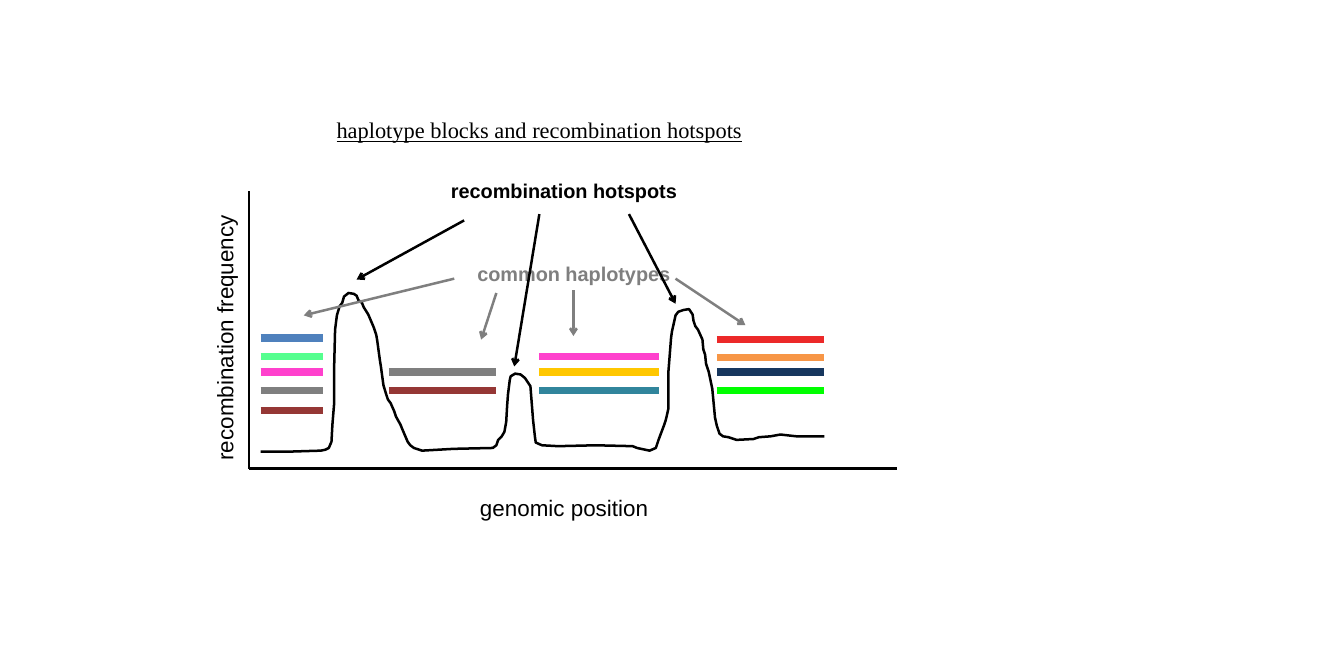
"""Build a slide showing haplotype blocks between recombination hotspots."""
from lxml import etree
from pptx import Presentation
from pptx.dml.color import RGBColor
from pptx.enum.shapes import MSO_CONNECTOR
from pptx.enum.text import MSO_ANCHOR, MSO_AUTO_SIZE, PP_ALIGN
from pptx.oxml.ns import qn
from pptx.util import Pt

PX = 9144
STRAIGHT = MSO_CONNECTOR.STRAIGHT
TOP = MSO_ANCHOR.TOP
NO_AUTOFIT = MSO_AUTO_SIZE.NONE
CENTER = PP_ALIGN.CENTER
TITLE_ONLY = 5
COLORS = {
    "black": "000000", "gray": "7F7F7F", "pink": "FF41CD", "yellow": "FFC700",
    "teal": "31859C", "orange": "F79646", "brown": "953735", "navy": "17375E",
    "red": "EC2929", "green": "00FF00", "mint": "55FF8F", "blue": "4F81BD",
}


def add_line(start, end, color, width, arrow=False):
    connector = slide.shapes.add_connector(STRAIGHT, *(value * PX for value in start + end))
    connector.line.color.rgb = RGBColor.from_string(COLORS[color])
    connector.line.width = Pt(width)
    properties = connector._element.spPr
    if arrow:
        etree.SubElement(properties.find(qn("a:ln")), qn("a:tailEnd"), type="arrow")
    etree.SubElement(properties, qn("a:effectLst"))


def write_text(shape, text, font_name, size, color):
    frame = shape.text_frame
    frame.word_wrap = True
    frame.auto_size = NO_AUTOFIT
    frame.vertical_anchor = TOP
    paragraph = frame.paragraphs[0]
    paragraph.alignment = CENTER
    run = paragraph.add_run()
    run.text = text
    run.font.name = font_name
    run.font.size = Pt(size)
    run.font.color.rgb = RGBColor.from_string(COLORS[color])
    return run


presentation = Presentation()
presentation.slide_width = 1500 * PX
presentation.slide_height = 750 * PX
slide = presentation.slides.add_slide(presentation.slide_layouts[TITLE_ONLY])

title = slide.shapes.title
title.left, title.top, title.width, title.height = (value * PX for value in (339, 125, 526, 70))
title_run = write_text(title, "haplotype blocks and recombination hotspots", "Times New Roman", 18, "black")
title_run.font.underline = True

axis_origin = (278, 523)
for axis_end in ((278, 213), (1001, 523)):
    add_line(axis_origin, axis_end, "black", 2)

frequency_points = [
    (291, 504), (325, 504), (358, 503), (363, 502), (367, 500), (370, 493), (371, 474),
    (373, 450), (373, 409), (374, 368), (376, 352), (379, 342), (382, 338), (384, 331),
    (389, 327), (395, 328), (398, 330), (400, 335), (404, 338), (406, 343), (411, 351),
    (417, 365), (420, 374), (421, 380), (424, 402), (425, 408), (428, 430), (431, 440),
    (433, 446), (436, 450), (440, 459), (442, 465), (447, 474), (449, 479), (455, 493),
    (458, 497), (462, 500), (471, 503), (506, 501), (550, 500), (554, 497), (556, 491),
    (560, 487), (563, 482), (565, 471), (566, 453), (567, 440), (569, 424), (570, 420),
    (575, 417), (581, 418), (586, 422), (592, 431), (595, 469), (597, 487), (598, 494),
    (605, 497), (623, 498), (665, 497), (706, 498), (711, 500), (725, 503), (732, 500),
    (735, 491), (741, 475), (743, 469), (744, 465), (746, 456), (746, 415), (749, 377),
    (750, 370), (754, 352), (757, 348), (763, 346), (769, 345), (773, 351), (774, 358),
    (776, 364), (779, 368), (784, 379), (785, 390), (787, 396), (788, 406), (791, 415),
    (795, 434), (798, 466), (800, 475), (803, 484), (807, 487), (813, 488), (822, 491),
    (841, 490), (847, 488), (860, 487), (871, 485), (889, 487), (920, 487),
]
curve_builder = slide.shapes.build_freeform(*frequency_points[0], scale=PX)
curve_builder.add_line_segments(frequency_points[1:], close=False)
curve = curve_builder.convert_to_shape()
curve.fill.background()
curve.line.color.rgb = RGBColor.from_string(COLORS["black"])
curve.line.width = Pt(2)
curve.shadow.inherit = False

haplotype_blocks = [
    (291, 360, {377: "blue", 398: "mint", 415: "pink", 436: "gray", 458: "brown"}),
    (434, 554, {415: "gray", 436: "brown"}),
    (602, 735, {398: "pink", 415: "yellow", 436: "teal"}),
    (800, 920, {379: "red", 399: "orange", 415: "navy", 436: "green"}),
]
for left, right, haplotypes in haplotype_blocks:
    for y, color in haplotypes.items():
        add_line((left, y), (right, y), color, 6)

labels = [
    ("genomic position", 398, 547, 40, 18, "black", False, 0),
    ("recombination frequency", 19, 357, 40, 18, "black", False, 270),
    ("common haplotypes", 409, 287, 37, 16, "gray", True, 0),
    ("recombination hotspots", 398, 195, 37, 16, "black", True, 0),
]
for text, left, top, height, size, color, bold, rotation in labels:
    label = slide.shapes.add_textbox(left * PX, top * PX, 463 * PX, height * PX)
    label.rotation = rotation
    write_text(label, text, "Arial", size, color).font.bold = bold

arrows = {
    "gray": [((554, 327), (537, 379)), ((640, 324), (640, 375)),
             ((754, 311), (832, 363)), ((507, 311), (339, 352))],
    "black": [((518, 246), (398, 312)), ((602, 239), (574, 409)), ((702, 239), (754, 339))],
}
for color, segments in arrows.items():
    for start, end in segments:
        add_line(start, end, color, 2, arrow=True)

presentation.save("out.pptx")
